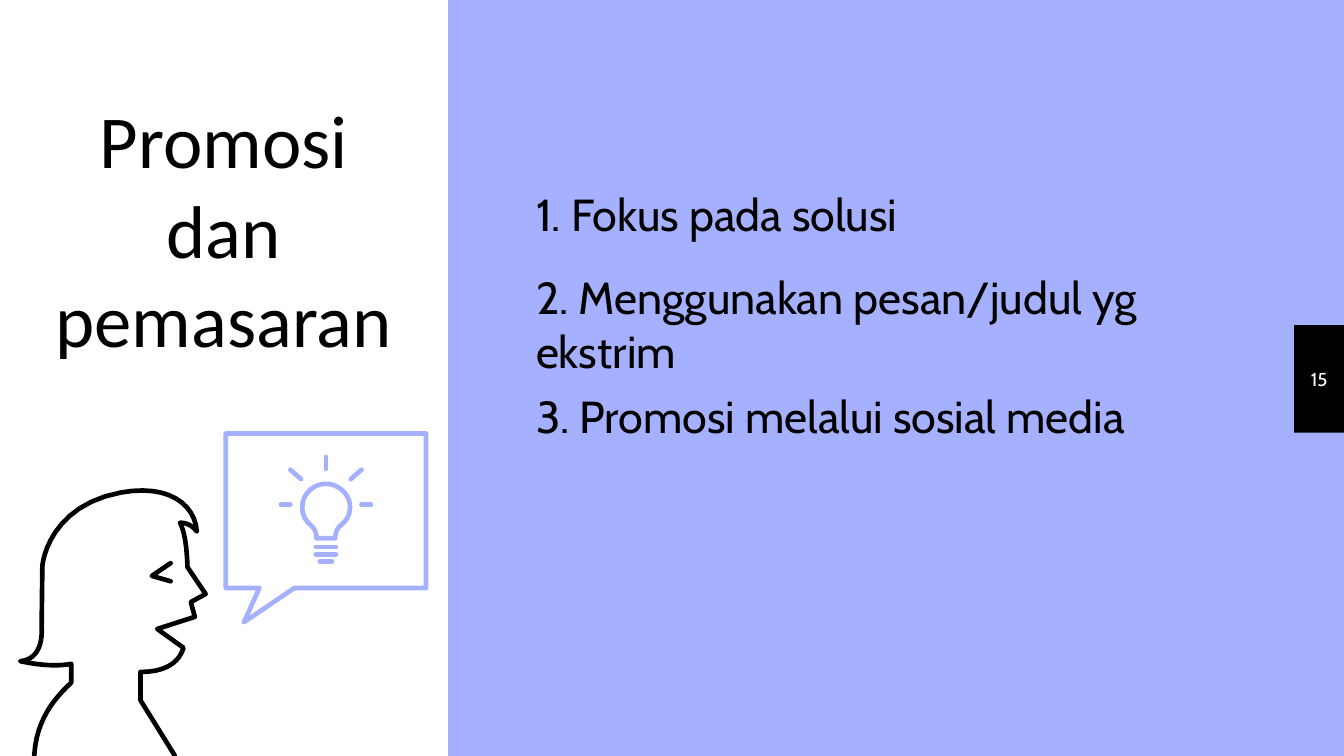
from lxml import etree
from pptx import Presentation
from pptx.dml.color import RGBColor
from pptx.enum.shapes import MSO_CONNECTOR, MSO_SHAPE
from pptx.enum.text import MSO_ANCHOR, PP_ALIGN
from pptx.oxml.ns import qn
from pptx.util import Inches, Pt

BLACK = RGBColor(0x00, 0x00, 0x00)
WHITE = RGBColor(0xFF, 0xFF, 0xFF)
LAVENDER = RGBColor(0xA5, 0xB0, 0xFE)
RECTANGLE, STRAIGHT = MSO_SHAPE.RECTANGLE, MSO_CONNECTOR.STRAIGHT
TOP, MIDDLE, BOTTOM = MSO_ANCHOR.TOP, MSO_ANCHOR.MIDDLE, MSO_ANCHOR.BOTTOM
LEFT, CENTER = PP_ALIGN.LEFT, PP_ALIGN.CENTER
PAGE_WIDTH = 10
PAGE_HEIGHT = PAGE_WIDTH * 9 / 16
STROKE = Pt(2.5)
CURVE_STEPS = 12

# Drawings in hundredths of an inch from the corner of their box.
# A pair is a straight step, six numbers are a cubic curve.
HEAD = [
    (116, 202), (90.5, 161), (90.5, 140), (116, 140, 121, 127, 122.5, 122),
    (103, 108), (131, 99), (128, 88), (139, 82), (125.5, 62),
    (125, 45, 123, 35, 120, 29), (125, 29, 129, 31, 132.5, 35.5),
    (131, 15, 111, 0, 76, 6.5), (24, 16, 17.5, 57, 17.5, 62), (17, 106),
    (18, 122, 12, 131, 1, 132), (16, 135, 28, 136, 39, 134), (39, 148),
    (26, 160, 13, 176, 11.5, 202),
]
EYE = [(113, 59), (99, 68.5), (113, 72.5)]
BUBBLE = [(2, 1.5), (151, 1.5), (151, 116.5), (53, 116.5),
          (15.5, 142), (27, 116.5), (2, 116.5)]
BULB = [
    (69.5, 79.5), (69.5, 75, 68, 72, 65, 69.5), (61, 66, 59, 62, 59, 56),
    (59, 47, 67, 39, 76.5, 39), (86, 39, 94.5, 47, 94.5, 56),
    (94.5, 62, 92, 66, 88, 69.5), (85, 72, 83.5, 75, 83.5, 79.5),
]
BULB_BASE = [(69, 86, 84, 86), (69, 91.5, 84, 91.5), (72, 97, 81, 97)]
RAYS = [(76.5, 19, 76.5, 28), (43, 54.5, 50, 54.5), (103, 54.5, 110, 54.5),
        (50, 28.5, 58, 35.5), (103, 28.5, 95, 35.5)]


def trace(steps):
    """Turn straight and curved steps into a list of points."""
    points = [steps[0]]
    for step in steps[1:]:
        if len(step) == 2:
            points.append(step)
            continue
        start = points[-1]
        for i in range(1, CURVE_STEPS + 1):
            t = i / CURVE_STEPS
            u = 1 - t
            points.append(tuple(
                u**3 * start[k] + 3 * u * u * t * step[k]
                + 3 * u * t * t * step[k + 2] + t**3 * step[k + 4]
                for k in (0, 1)))
    return points


def style_stroke(shape, color):
    """Give a line round ends and joins."""
    shape.line.color.rgb = color
    shape.line.width = STROKE
    outline = shape.line._get_or_add_ln()
    outline.set("cap", "rnd")
    etree.SubElement(outline, qn("a:round"))


def add_outline(page, left, top, steps, color, close=False):
    points = [(Inches(left + x / 100), Inches(top + y / 100)) for x, y in trace(steps)]
    builder = page.shapes.build_freeform(*points[0])
    builder.add_line_segments(points[1:], close=close)
    shape = builder.convert_to_shape()
    shape.shadow.inherit = False
    shape.fill.background()
    style_stroke(shape, color)


def add_dash(page, left, top, ends, color):
    x1, y1, x2, y2 = (value / 100 for value in ends)
    dash = page.shapes.add_connector(STRAIGHT, Inches(left + x1), Inches(top + y1),
                                     Inches(left + x2), Inches(top + y2))
    style_stroke(dash, color)
    etree.SubElement(dash._element.spPr, qn("a:effectLst"))


def add_panel(page, left, top, width, height, color):
    panel = page.shapes.add_shape(RECTANGLE, Inches(left), Inches(top),
                                  Inches(width), Inches(height))
    panel.shadow.inherit = False
    panel.fill.solid()
    panel.fill.fore_color.rgb = color
    panel.line.fill.background()


def add_text(page, left, top, width, height, lines, font, size,
             color=BLACK, align=LEFT, anchor=TOP, space=0):
    box = page.shapes.add_textbox(Inches(left), Inches(top), Inches(width), Inches(height))
    frame = box.text_frame
    frame.word_wrap = True
    frame.vertical_anchor = anchor
    frame.margin_left = frame.margin_right = Inches(0.1)
    frame.margin_top = frame.margin_bottom = Inches(0.1)
    frame.text = "\n".join(lines)
    for para in frame.paragraphs:
        para.alignment = align
        para.space_before = Pt(space)
        para.font.name = font
        para.font.size = Pt(size)
        para.font.color.rgb = color


def add_title_panel(page, left, top, width, height):
    add_panel(page, left, top, width, height, WHITE)
    add_text(page, left + 0.23, top + 0.63, 2.87, 2.17, ["Promosi dan pemasaran"],
             "Calibri", 40, align=CENTER, anchor=BOTTOM)


def add_points(page, left, top, width):
    blocks = [
        (0, ["1. Fokus pada solusi"]),
        (0.62, ["2. Menggunakan pesan/judul yg ekstrim",
                "3. Promosi melalui sosial media"]),
    ]
    for offset, lines in blocks:
        add_text(page, left, top + offset, width, 0.51, lines, "Cabin", 24, space=6)


def add_page_number(page, left, top, width, height):
    add_panel(page, left, top, width, height, BLACK)
    add_text(page, left, top, width, height, ["15"], "Cabin", 10,
             color=WHITE, align=CENTER, anchor=MIDDLE)


def add_speaker(page, left, top):
    add_outline(page, left, top, EYE, BLACK)
    add_outline(page, left, top, HEAD, BLACK)


def add_idea_bubble(page, left, top):
    add_outline(page, left, top, BUBBLE, LAVENDER, close=True)
    add_outline(page, left, top, BULB, LAVENDER, close=True)
    for ends in BULB_BASE + RAYS:
        add_dash(page, left, top, ends, LAVENDER)


def main():
    deck = Presentation()
    deck.slide_width, deck.slide_height = Inches(PAGE_WIDTH), Inches(PAGE_HEIGHT)
    page = deck.slides.add_slide(deck.slide_layouts[6])
    page.background.fill.solid()
    page.background.fill.fore_color.rgb = LAVENDER

    add_title_panel(page, 0, 0, PAGE_WIDTH / 3, PAGE_HEIGHT)
    add_points(page, 3.89, 1.29, 5.36)
    add_page_number(page, 9.63, 2.42, 0.37, 0.8)
    add_speaker(page, 0.14, 3.6)
    add_idea_bubble(page, 1.66, 3.21)
    deck.save("out.pptx")


if __name__ == "__main__":
    main()
